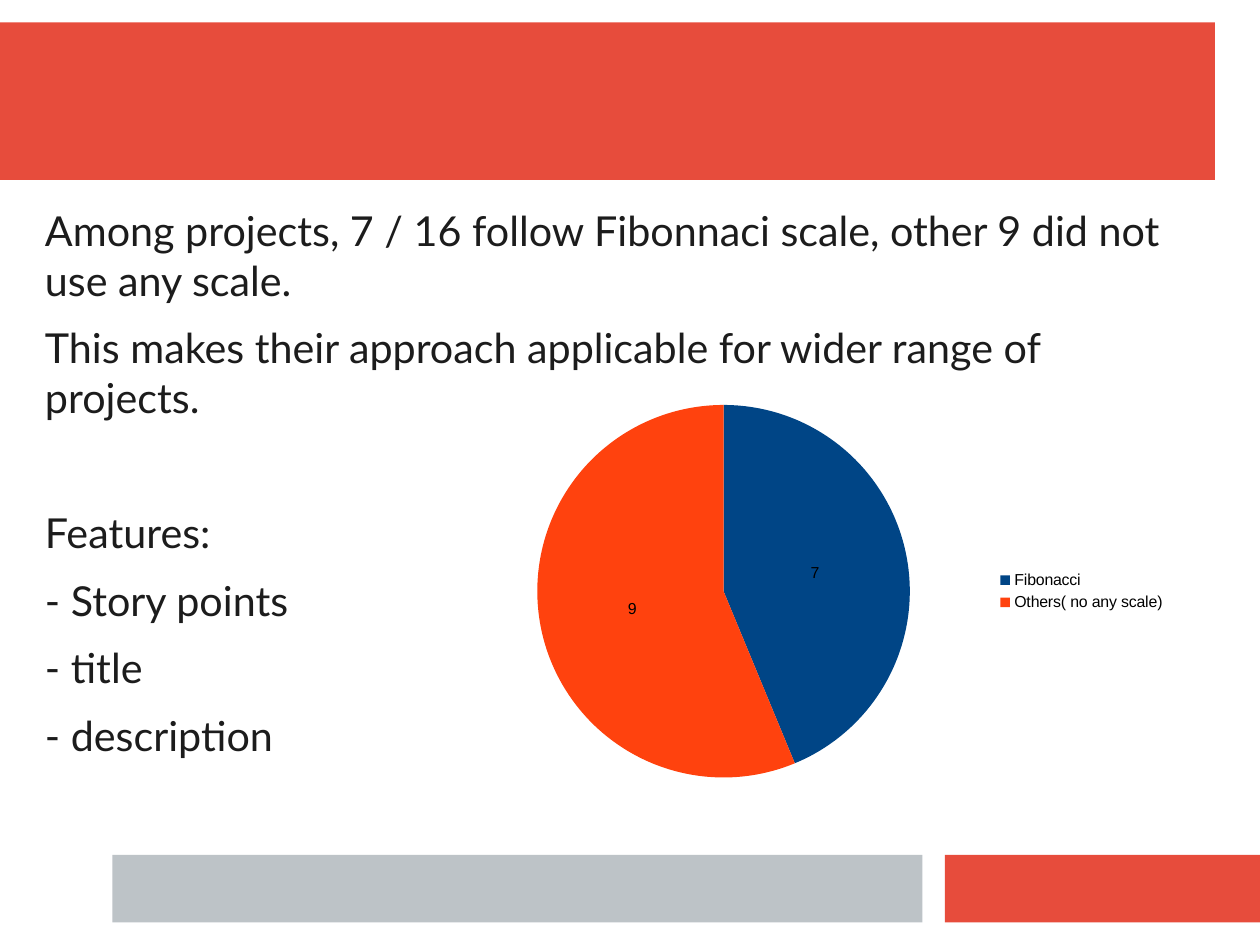
import pptx
import pptx.chart.data
import pptx.dml.color
import pptx.enum.chart
import pptx.enum.shapes
import pptx.oxml
import pptx.oxml.ns
import pptx.util
from pptx.util import Cm

RED, GREY, INK = "E74C3C", "BDC3C7", "1C1C1C"
BARS = [
    (0, 0.5, 27, 3.5, RED),
    (21, 19, 7, 1.5, RED),
    (2.5, 19, 18, 1.5, GREY),
]
LINE_GAP, SECTION_GAP = 11.4, 54
BODY = [
    ("Among projects, 7 / 16 follow Fibonnaci scale, other 9 did not use any scale.", LINE_GAP),
    ("This makes their approach applicable for wider range of projects.", SECTION_GAP),
    ("Features:", LINE_GAP),
    ("- Story points", LINE_GAP),
    ("- title", LINE_GAP),
    ("- description", LINE_GAP),
]
SCALES = [("Fibonacci", 7, "004586"), ("Others( no any scale)", 9, "FF420E")]
PIE_AREA = {"x": 0.11, "y": 0.04, "w": 0.52, "h": 0.92}


def rgb(value):
    """Turn a hex string into a colour."""
    return pptx.dml.color.RGBColor.from_string(value)


def set_font(font, name, size, color):
    """Apply a typeface, size and colour to a font."""
    for key, value in {"name": name, "size": pptx.util.Pt(size)}.items():
        setattr(font, key, value)
    font.color.rgb = rgb(color)


def add_bar(s, left, top, width, height, color):
    """Add a plain filled rectangle."""
    sp = s.shapes.add_shape(
        pptx.enum.shapes.MSO_SHAPE.RECTANGLE, Cm(left), Cm(top), Cm(width), Cm(height))
    sp.shadow.inherit = False
    sp.fill.solid()
    sp.fill.fore_color.rgb = rgb(color)
    sp.line.fill.background()


def add_body(s, left, top, width, height, lines):
    """Add the text, one paragraph for each line with its gap below."""
    tf = s.shapes.add_textbox(Cm(left), Cm(top), Cm(width), Cm(height)).text_frame
    frame = {"word_wrap": True, "margin_left": 0, "margin_top": 0,
             "margin_right": 0, "margin_bottom": 0}
    for key, value in frame.items():
        setattr(tf, key, value)
    for i, (text, gap) in enumerate(lines):
        p = tf.add_paragraph() if i else tf.paragraphs[0]
        p.space_after = pptx.util.Pt(gap)
        r = p.add_run()
        r.text = text
        set_font(r.font, "Lato", 26, INK)


def place_plot(chart, area):
    """Fix the inner plot area as fractions of the chart."""
    plot_area = chart._chartSpace.chart.plotArea
    for old in plot_area.findall(pptx.oxml.ns.qn("c:layout")):
        plot_area.remove(old)
    modes = "".join(f'<c:{k}Mode val="edge"/>' for k in "xy")
    sizes = "".join(f'<c:{k} val="{v}"/>' for k, v in area.items())
    plot_area.insert(0, pptx.oxml.parse_xml(
        f'<c:layout {pptx.oxml.ns.nsdecls("c")}><c:manualLayout>'
        f'<c:layoutTarget val="inner"/>{modes}{sizes}</c:manualLayout></c:layout>'))


def add_pie(s, left, top, width, height, slices):
    """Add a pie with centred values and a legend on the right."""
    names, values, colors = zip(*slices)
    data = pptx.chart.data.CategoryChartData()
    data.categories = names
    data.add_series("Series 1", values)
    chart = s.shapes.add_chart(
        pptx.enum.chart.XL_CHART_TYPE.PIE,
        Cm(left), Cm(top), Cm(width), Cm(height), data).chart
    chart.has_title = False
    set_font(chart.font, "Arial", 10, "000000")
    chart.has_legend = True
    chart.legend.position = pptx.enum.chart.XL_LEGEND_POSITION.RIGHT
    chart.legend.include_in_layout = False
    set_font(chart.legend.font, "Arial", 10, "000000")
    plot = chart.plots[0]
    plot.vary_by_categories = True
    for i, color in enumerate(colors):
        fill = plot.series[0].points[i].format.fill
        fill.solid()
        fill.fore_color.rgb = rgb(color)
    plot.has_data_labels = True
    labels = plot.data_labels
    options = {"show_value": True, "show_percentage": False,
               "position": pptx.enum.chart.XL_LABEL_POSITION.CENTER}
    for key, value in options.items():
        setattr(labels, key, value)
    set_font(labels.font, "Arial", 10, "000000")
    place_plot(chart, PIE_AREA)


def main():
    """Build and save the slide."""
    prs = pptx.Presentation()
    prs.slide_width, prs.slide_height = Cm(28), Cm(21)
    s = prs.slides.add_slide(prs.slide_layouts[6])
    for bar in BARS:
        add_bar(s, *bar)
    add_body(s, 1, 4.57, 25.5, 13, BODY)
    add_pie(s, 10.16, 8.64, 16, 9, SCALES)
    prs.save("out.pptx")


if __name__ == "__main__":
    main()
